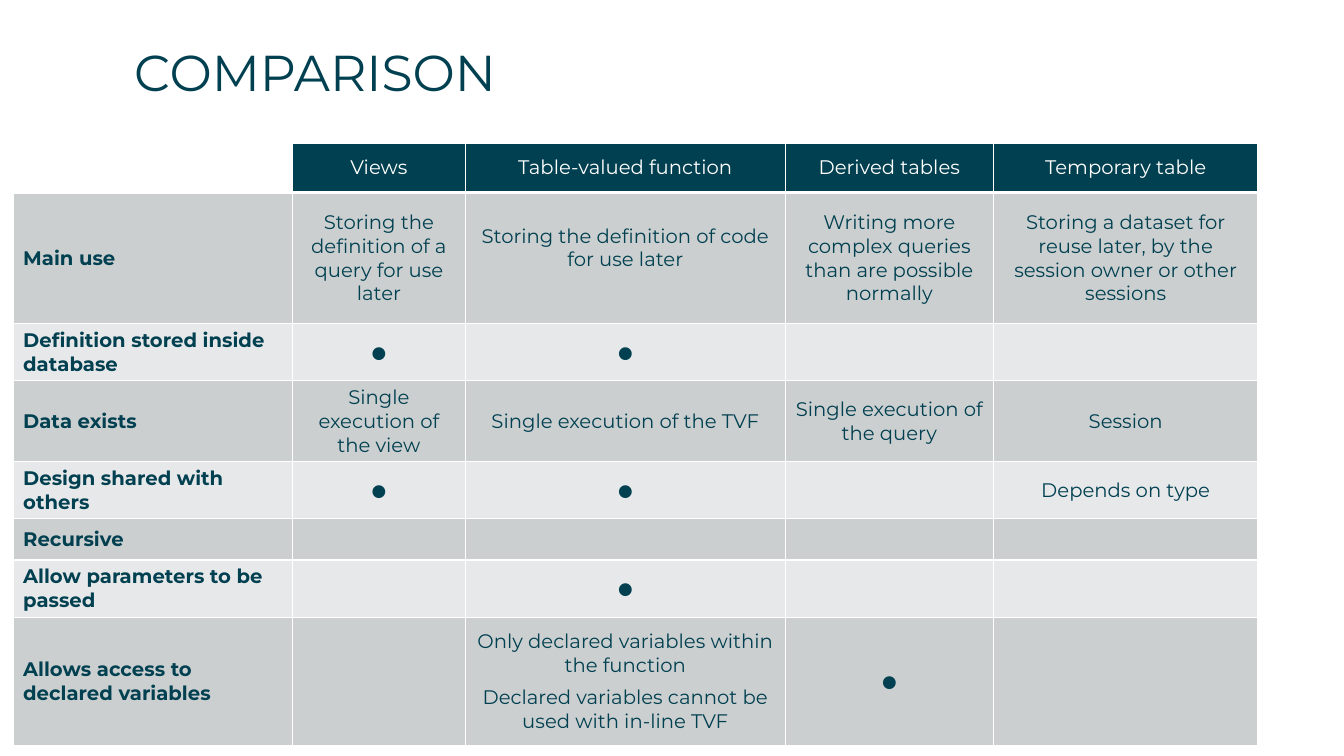
from lxml.etree import SubElement
from pptx import Presentation
from pptx.dml.color import RGBColor as RGB
from pptx.enum.text import MSO_ANCHOR as ANCHOR, PP_ALIGN as ALIGN
from pptx.oxml.ns import qn
from pptx.util import Pt

COLORS = {"teal": "004050", "white": "FFFFFF", "dark_band": "CCCFD0", "light_band": "E7E8E9"}
FONT = "Montserrat"
DOT = "●"
COL_WIDTHS = [199.44, 123.84, 228.24, 149.04, 188.64]
ROW_HEIGHTS = [35.28, 93.6, 36, 51.12, 36, 29.52, 36, 91.44]
ROWS = [
    ["", "Views", "Table-valued function", "Derived tables", "Temporary table"],
    ["Main use", "Storing the definition of a query for use later",
     "Storing the definition of code for use later",
     "Writing more complex queries than are possible normally",
     "Storing a dataset for reuse later, by the session owner or other sessions"],
    ["Definition stored inside database", DOT, DOT, "", ""],
    ["Data exists", "Single execution of the view", "Single execution of the TVF",
     "Single execution of the query", "Session"],
    ["Design shared with others", DOT, DOT, "", "Depends on type"],
    ["Recursive", "", "", "", ""],
    ["Allow parameters to be passed", "", DOT, "", ""],
    ["Allows access to declared variables", "",
     "Only declared variables within the function\n"
     "Declared variables cannot be used with in-line TVF", DOT, ""],
]


def rgb(name):
    return RGB.from_string(COLORS[name])


def write(p, text, color, size, bold=False):
    r = p.add_run()
    r.text = text
    for key, value in {"name": FONT, "size": Pt(size), "bold": bold}.items():
        setattr(r.font, key, value)
    r.font.color.rgb = rgb(color)


def add_title(s, text):
    tf = s.shapes.add_textbox(Pt(95.76), Pt(29.52), Pt(834.48), Pt(41.04)).text_frame
    layout = {"word_wrap": True, "margin_left": 0, "margin_top": 0,
              "margin_right": 0, "margin_bottom": 0}
    for key, value in layout.items():
        setattr(tf, key, value)
    write(tf.paragraphs[0], text, "teal", 36)


def set_borders(cell, bottom):
    tc_pr = cell._tc.get_or_add_tcPr()
    for side, width in {"lnL": 1, "lnR": 1, "lnT": 1, "lnB": bottom}.items():
        ln = SubElement(tc_pr, qn(f"a:{side}"), w=str(Pt(width)))
        SubElement(SubElement(ln, qn("a:solidFill")), qn("a:srgbClr"), val=COLORS["white"])


def cell_fill(row, col):
    if row == 0:
        return "teal" if col else "white"
    return "dark_band" if row % 2 else "light_band"


def fill_cell(cell, row, col, text):
    layout = {"vertical_anchor": ANCHOR.MIDDLE, "margin_left": Pt(7.2), "margin_top": Pt(3.6),
              "margin_right": Pt(7.2), "margin_bottom": Pt(3.6)}
    for key, value in layout.items():
        setattr(cell, key, value)
    set_borders(cell, 1 if row else 3)
    cell.fill.solid()
    cell.fill.fore_color.rgb = rgb(cell_fill(row, col))
    if not text:
        return
    tf = cell.text_frame
    lines = text.split("\n")
    for i, line in enumerate(lines):
        p = tf.add_paragraph() if i else tf.paragraphs[0]
        p.alignment = ALIGN.CENTER if col else ALIGN.LEFT
        if len(lines) > 1:
            p.space_after = Pt(6)
        write(p, line, "teal" if row else "white", 12 if line == DOT else 14, col == 0)


def add_comparison(s):
    frame = s.shapes.add_table(len(ROWS), len(COL_WIDTHS), Pt(9.36), Pt(102.24),
                               Pt(sum(COL_WIDTHS)), Pt(sum(ROW_HEIGHTS)))
    table = frame.table
    table.first_row = table.horz_banding = False
    for column, width in zip(table.columns, COL_WIDTHS):
        column.width = Pt(width)
    for row, height in zip(table.rows, ROW_HEIGHTS):
        row.height = Pt(height)
    for i, texts in enumerate(ROWS):
        for j, text in enumerate(texts):
            fill_cell(table.cell(i, j), i, j, text)
    table.cell(1, 2).margin_bottom = Pt(18)


def main():
    prs = Presentation()
    prs.slide_width, prs.slide_height = Pt(960), Pt(540)
    s = prs.slides.add_slide(prs.slide_layouts[6])
    add_title(s, "COMPARISON")
    add_comparison(s)
    prs.save("out.pptx")


if __name__ == "__main__":
    main()
